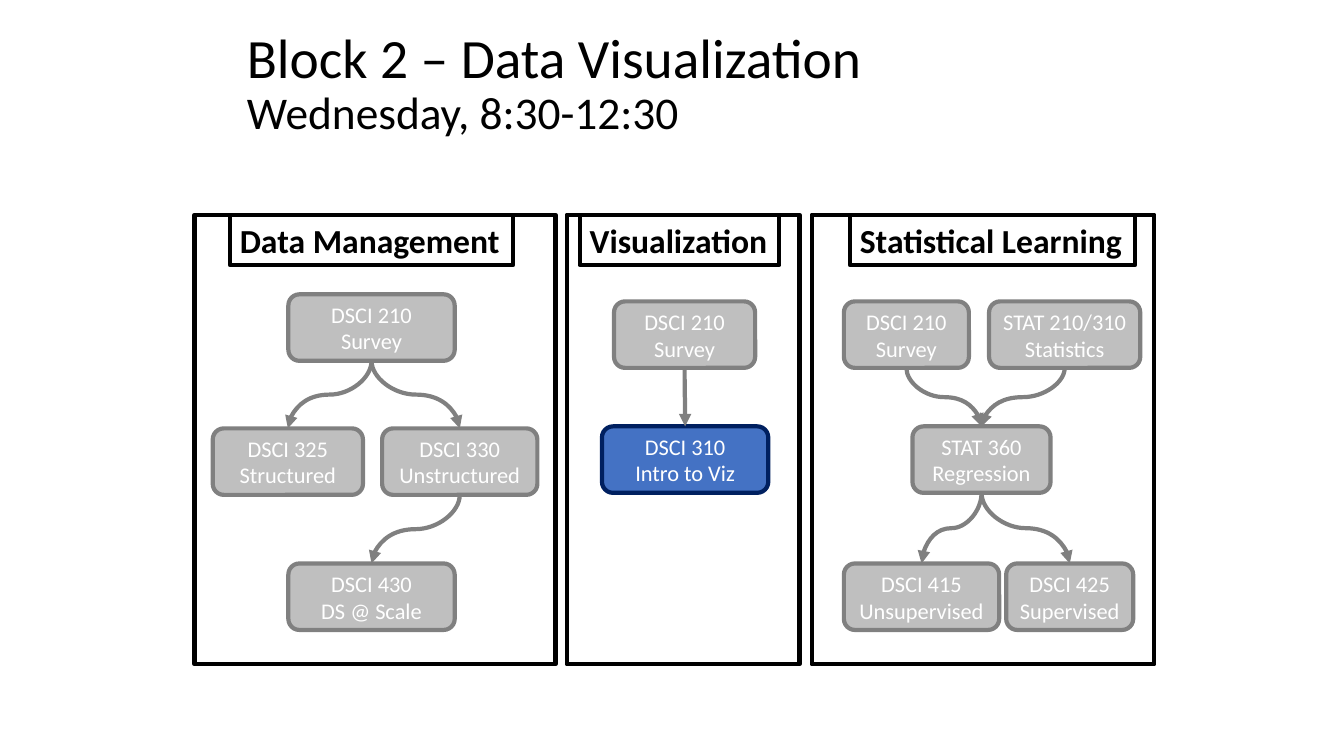
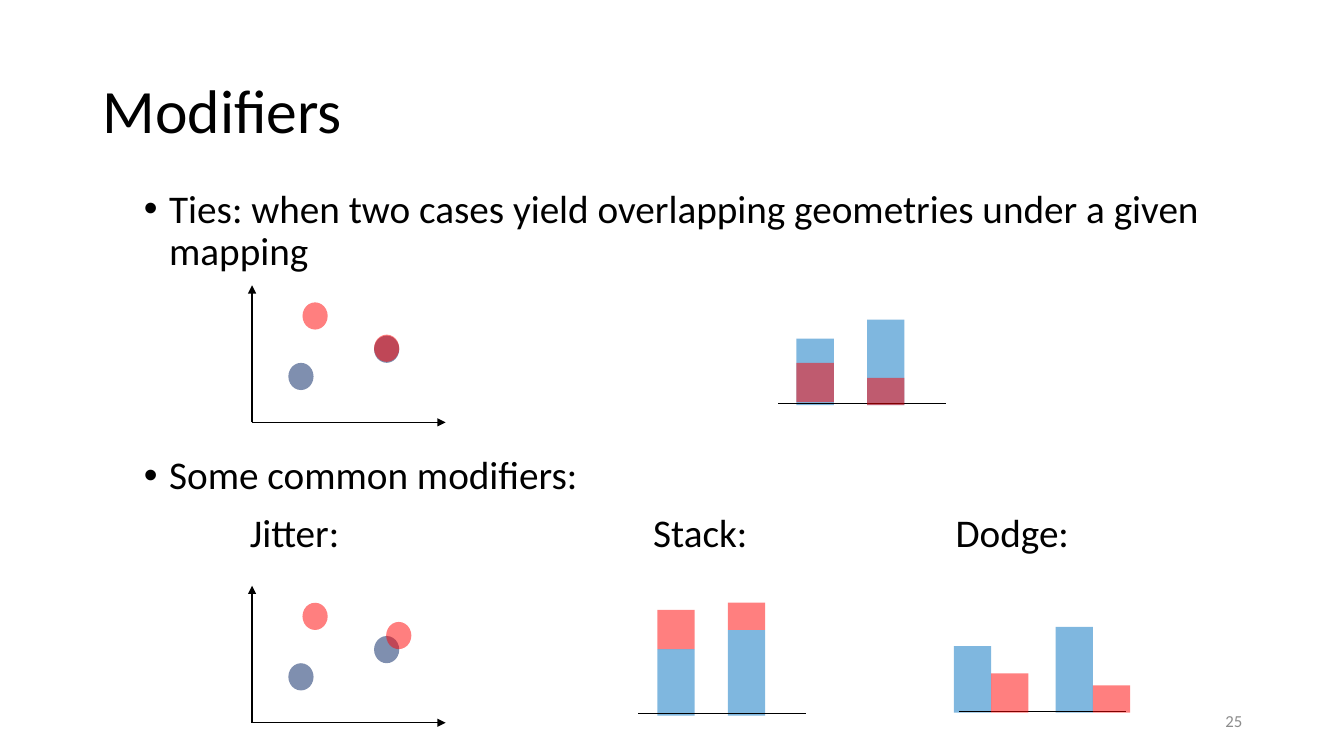
import itertools

import lxml.etree
import pptx
import pptx.dml.color
import pptx.enum.shapes
import pptx.enum.text
import pptx.oxml.ns
import pptx.util

RGB = pptx.dml.color.RGBColor
SHAPES = pptx.enum.shapes.MSO_SHAPE
CONNECTORS = pptx.enum.shapes.MSO_CONNECTOR
ALIGN = pptx.enum.text.PP_ALIGN
ANCHOR = pptx.enum.text.MSO_ANCHOR

EMU_PER_PX = 9144  # 100 px to the inch
FONT = "Calibri"
BLACK = RGB(0x00, 0x00, 0x00)
WHITE = RGB(0xFF, 0xFF, 0xFF)
PALE_GRAY = RGB(0xBF, 0xBF, 0xBF)
GRAY = RGB(0x80, 0x80, 0x80)
NUMBER_GRAY = RGB(0x8C, 0x8C, 0x8C)
ACCENT_BLUE = RGB(0x44, 0x72, 0xC4)
NAVY = RGB(0x00, 0x20, 0x60)
BLUE = RGB(0x00, 0x70, 0xC0)
RED = RGB(0xFF, 0x00, 0x00)

PANEL_TOP, PANEL_HEIGHT = 213, 446
HEADER_HEIGHT = 50
COURSE_HEIGHT = 66
BAR_WIDTH = 37
BLUE_HEIGHTS = (66, 85)
RED_HEIGHTS = (39, 27)
BAR_AXIS_LENGTH = 166
DOT_WIDTH, DOT_HEIGHT = 25, 27

# Each panel: left, width, header (text, left, width),
# courses {code key: (lines, left, top, width)}, arrows (from, to).
PANELS = [
    (193, 358, ("Data Management", 228, 281),
     {"survey": (["DSCI 210", "Survey"], 286, 292, 165),
      "structured": (["DSCI 325", "Structured"], 211, 425, 149),
      "unstructured": (["DSCI 330", "Unstructured"], 379, 425, 154),
      "scale": (["DSCI 430", "DS @ Scale"], 286, 559, 165)},
     [("survey", "structured"), ("survey", "unstructured"),
      ("unstructured", "scale")]),
    (562, 231, ("Visualization", 575, 198),
     {"survey": (["DSCI 210", "Survey"], 609, 299, 140),
      "viz": (["DSCI 310", "Intro to Viz"], 597, 423, 165)},
     [("survey", "viz")]),
    (805, 340, ("Statistical Learning", 843, 283),
     {"survey": (["DSCI 210", "Survey"], 837, 299, 124),
      "statistics": (["STAT 210/310", "Statistics"], 981, 299, 150),
      "regression": (["STAT 360", "Regression"], 905, 423, 137),
      "unsupervised": (["DSCI 415", "Unsupervised"], 837, 559, 154),
      "supervised": (["DSCI 425", "Supervised"], 998, 559, 126)},
     [("survey", "regression"), ("statistics", "regression"),
      ("regression", "unsupervised"), ("regression", "supervised")]),
]
HIGHLIGHTED_COURSE = "viz"


def px(length):
    return pptx.util.Emu(round(length * EMU_PER_PX))


def add_xml(parent, tag, **attributes):
    child = lxml.etree.SubElement(parent, pptx.oxml.ns.qn(tag))
    for name, value in attributes.items():
        child.set(name, str(value))
    return child


def write_text(frame, lines, *, sizes, color=BLACK, bold=False,
               align=ALIGN.LEFT, anchor=ANCHOR.TOP, wrap=True, spacing=None):
    """Fill a text frame with one paragraph per line, cycling through sizes."""
    frame.word_wrap = wrap
    frame.vertical_anchor = anchor
    for index, (line, size) in enumerate(zip(lines, itertools.cycle(sizes))):
        paragraph = frame.add_paragraph() if index else frame.paragraphs[0]
        paragraph.alignment = align
        if spacing:
            paragraph.line_spacing = spacing
        run = paragraph.add_run()
        run.text = line
        run.font.name = FONT
        run.font.size = pptx.util.Pt(size)
        run.font.bold = bold
        run.font.color.rgb = color


def add_text_box(slide, lines, left, top, width, height, **text_format):
    box = slide.shapes.add_textbox(px(left), px(top), px(width), px(height))
    write_text(box.text_frame, lines, **text_format)
    return box.text_frame


def add_title(slide, lines, left, top, width, height, sizes):
    add_text_box(slide, lines, left, top, width, height, sizes=sizes,
                 anchor=ANCHOR.MIDDLE, spacing=0.9)


def add_bullet(paragraph):
    properties = paragraph._p.get_or_add_pPr()
    indent = px(25)
    properties.set("marL", str(indent))
    properties.set("indent", str(-indent))
    add_xml(properties, "a:buFont", typeface="Arial")
    add_xml(properties, "a:buChar", char="•")


def add_shape(slide, kind, left, top, width, height, *,
              fill=None, line=None, opacity=100):
    shape = slide.shapes.add_shape(kind, px(left), px(top), px(width), px(height))
    shape.shadow.inherit = False
    if fill is None:
        shape.fill.background()
    else:
        shape.fill.solid()
        shape.fill.fore_color.rgb = fill
        if opacity < 100:
            color = shape.element.spPr.find(".//" + pptx.oxml.ns.qn("a:srgbClr"))
            add_xml(color, "a:alpha", val=opacity * 1000)
    if line is None:
        shape.line.fill.background()
    else:
        shape.line.color.rgb = line
        shape.line.width = pptx.util.Pt(3)
    return shape


def style_connector(connector, color, width, arrow):
    connector.line.color.rgb = color
    connector.line.width = pptx.util.Pt(width)
    properties = connector.element.spPr
    if arrow:
        line = properties.find(pptx.oxml.ns.qn("a:ln"))
        add_xml(line, "a:tailEnd", type="triangle")
    add_xml(properties, "a:effectLst")


def add_line(slide, start, end, arrow=False):
    connector = slide.shapes.add_connector(
        CONNECTORS.STRAIGHT, *(px(value) for value in (*start, *end)))
    style_connector(connector, BLACK, 1, arrow)


def add_curved_arrow(slide, parent, child):
    """Join the bottom of parent to the top of child with an upright S-curve."""
    start_x = parent.left + parent.width // 2
    start_y = parent.top + parent.height
    end_x = child.left + child.width // 2
    across, down = end_x - start_x, child.top - start_y
    connector = slide.shapes.add_connector(
        CONNECTORS.CURVE, start_x, start_y, end_x, child.top)
    connector.begin_connect(parent, 2)
    connector.end_connect(child, 0)
    # The preset curve runs sideways, so its box is laid flat and then turned.
    connector.left = (start_x + end_x - down) // 2
    connector.top = (start_y + child.top - abs(across)) // 2
    connector.width, connector.height = down, abs(across)
    transform = connector.element.spPr.find(pptx.oxml.ns.qn("a:xfrm"))
    transform.attrib.pop("flipH", None)
    transform.set("rot", str((270 if across > 0 else 90) * 60000))
    if across > 0:
        transform.set("flipH", "1")
    style_connector(connector, GRAY, 3, arrow=True)


def add_course(slide, lines, left, top, width, highlighted):
    fill, line = (ACCENT_BLUE, NAVY) if highlighted else (PALE_GRAY, GRAY)
    course = add_shape(slide, SHAPES.ROUNDED_RECTANGLE, left, top, width,
                       COURSE_HEIGHT, fill=fill, line=line)
    write_text(course.text_frame, lines, sizes=(16,), color=WHITE,
               align=ALIGN.CENTER, anchor=ANCHOR.MIDDLE)
    return course


def add_panel(slide, left, width, header, courses, arrows):
    label, header_left, header_width = header
    header_box = add_shape(slide, SHAPES.RECTANGLE, header_left, PANEL_TOP,
                           header_width, HEADER_HEIGHT, line=BLACK)
    write_text(header_box.text_frame, [label], sizes=(24,), bold=True, wrap=False)
    boxes = {key: add_course(slide, *course, key == HIGHLIGHTED_COURSE)
             for key, course in courses.items()}
    for parent, child in arrows:
        add_curved_arrow(slide, boxes[parent], boxes[child])
    add_shape(slide, SHAPES.RECTANGLE, left, PANEL_TOP, width, PANEL_HEIGHT,
              line=BLACK)


def add_scatter(slide, left, bottom, last_red_dot):
    """Draw axes and four dots, placed by their offset from the origin."""
    add_line(slide, (left, bottom), (left + 192, bottom), arrow=True)
    add_line(slide, (left, bottom), (left, bottom - 136), arrow=True)
    dots = [(36, 59, NAVY), (50, 119, RED), (121, 86, NAVY), (*last_red_dot, RED)]
    for across, up, color in dots:
        add_shape(slide, SHAPES.OVAL, left + across, bottom - up,
                  DOT_WIDTH, DOT_HEIGHT, fill=color, opacity=50)


def add_bars(slide, lefts, bottoms, heights, color):
    for left, bottom, height in zip(lefts, bottoms, heights):
        add_shape(slide, SHAPES.RECTANGLE, left, bottom - height, BAR_WIDTH,
                  height, fill=color, opacity=50)


def add_bar_plot(slide, axis_left, axis_y, bottom, blue_lefts, red_lefts, red_bottoms):
    add_bars(slide, blue_lefts, (bottom, bottom), BLUE_HEIGHTS, BLUE)
    add_line(slide, (axis_left, axis_y), (axis_left + BAR_AXIS_LENGTH, axis_y))
    add_bars(slide, red_lefts, red_bottoms, RED_HEIGHTS, RED)


def build_schedule_slide(slide):
    add_title(slide, ["Block 2 – Data Visualization", "Wednesday, 8:30-12:30"],
              235, 40, 862, 89, sizes=(39.6, 32.4))
    for panel in PANELS:
        add_panel(slide, *panel)


def build_modifiers_slide(slide):
    add_title(slide, ["Modifiers"], 92, 40, 1150, 145, sizes=(44,))
    body = add_text_box(
        slide,
        ["Ties: when two cases yield overlapping geometries under a given mapping",
         "Some common modifiers:"],
        133, 183, 1067, 320, sizes=(28,), spacing=0.9)
    body.paragraphs[1].space_before = pptx.util.Pt(130)
    for paragraph in body.paragraphs:
        add_bullet(paragraph)
    for label, left in (("Jitter:", 238), ("Stack:", 638), ("Dodge:", 938)):
        add_text_box(slide, [label], left, 505, 200, 53, sizes=(28,), spacing=0.9)

    add_scatter(slide, 250, 419, last_red_dot=(121, 87))
    add_scatter(slide, 250, 717, last_red_dot=(133, 100))

    tied_lefts, stacked_lefts = (790, 860), (652, 722)
    stack_bottom = 710
    stack_tops = [stack_bottom - height for height in BLUE_HEIGHTS]
    add_bar_plot(slide, 772, 400, 402, tied_lefts, tied_lefts, (399, 402))
    add_bar_plot(slide, 633, 708, stack_bottom, stacked_lefts, stacked_lefts,
                 stack_tops)
    dodged_lefts = (946, 1047)
    add_bar_plot(slide, 951, 706, 707, dodged_lefts,
                 [left + BAR_WIDTH for left in dodged_lefts], (707, 707))

    add_text_box(slide, ["25"], 942, 695, 300, 40, sizes=(12,), color=NUMBER_GRAY,
                 align=ALIGN.RIGHT, anchor=ANCHOR.MIDDLE)


def main():
    presentation = pptx.Presentation()
    presentation.slide_width, presentation.slide_height = px(1333), px(750)
    blank_layout = presentation.slide_layouts[6]
    for build_slide in (build_schedule_slide, build_modifiers_slide):
        build_slide(presentation.slides.add_slide(blank_layout))
    presentation.save("out.pptx")


if __name__ == "__main__":
    main()
